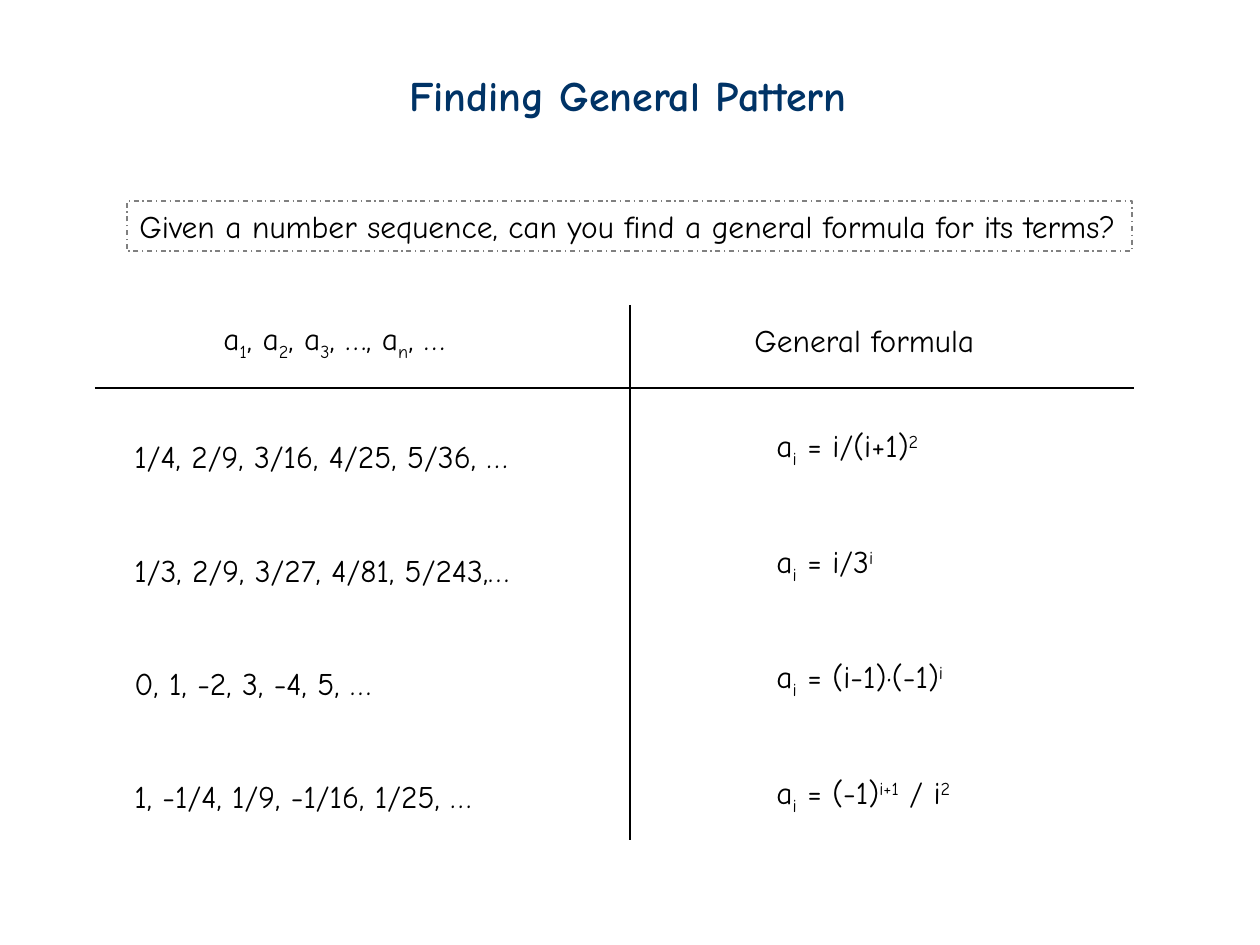
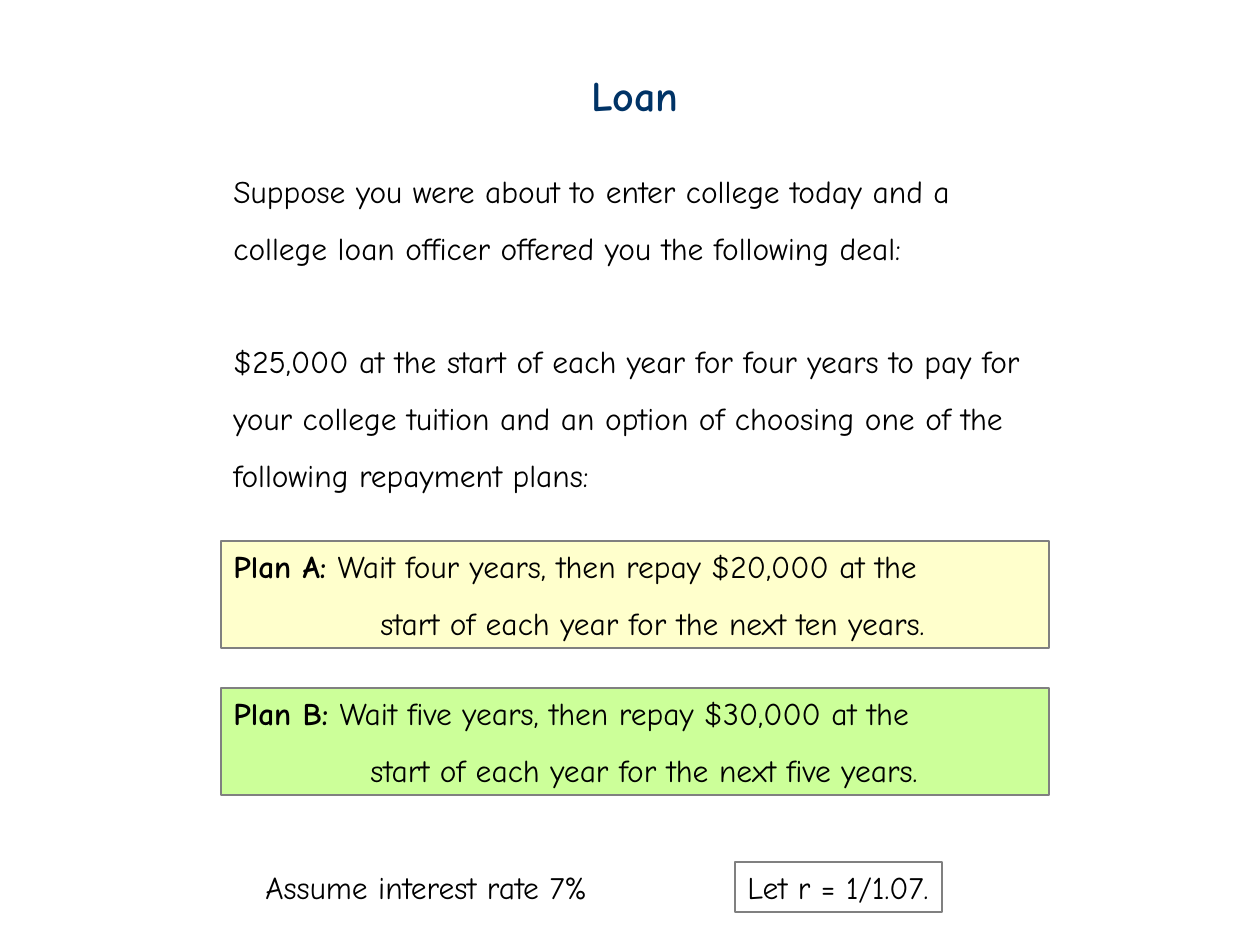
"""Build two slides: general patterns of sequences, and a loan problem."""
from dataclasses import dataclass
from typing import NamedTuple, Optional

from pptx import Presentation
from pptx.dml.color import RGBColor
from pptx.enum.dml import MSO_LINE
from pptx.enum.shapes import MSO_CONNECTOR, MSO_SHAPE
from pptx.enum.text import MSO_ANCHOR, MSO_AUTO_SIZE, PP_ALIGN
from pptx.oxml.ns import qn
from pptx.util import Emu, Pt

DASH_DOT = MSO_LINE.DASH_DOT
STRAIGHT = MSO_CONNECTOR.STRAIGHT
RECTANGLE = MSO_SHAPE.RECTANGLE
TOP = MSO_ANCHOR.TOP
GROW = MSO_AUTO_SIZE.SHAPE_TO_FIT_TEXT
LEFT = PP_ALIGN.LEFT
EMU_PER_PX = 914400 / 126
SUB, SUP = -25000, 30000


@dataclass(frozen=True)
class Theme:
    """Colours, type and line widths shared by the slides."""
    font: str = "Comic Neue"
    title: str = "003366"
    ink: str = "000000"
    border: str = "808080"
    plan_a: str = "FFFFCC"
    plan_b: str = "CCFF99"
    title_size: float = 24
    body_size: float = 18
    line_height: float = 21.6
    line_width: float = 0.7


class Run(NamedTuple):
    """A piece of text with its own weight or baseline."""
    text: str
    baseline: int = 0
    bold: bool = False


class Para(NamedTuple):
    """A paragraph with its spacing and left margin in pixels."""
    runs: list[Run]
    spacing: float = 1.0
    before: float = 0
    margin: int = 0


class Box(NamedTuple):
    """A place on the slide in pixels."""
    left: int
    top: int
    width: int
    height: int


class Frame(NamedTuple):
    """The outline and fill of a framed text."""
    fill: Optional[str] = None
    dashed: bool = False


class Plan(NamedTuple):
    """A repayment plan and its panel."""
    top: int
    fill: str
    name: str
    first: str
    second: str
    margin: int


THEME = Theme()


def px(n: float) -> Emu:
    """Turn pixels into EMU."""
    return Emu(round(n * EMU_PER_PX))


def rgb(value: str) -> RGBColor:
    """Turn a hex string into a colour."""
    return RGBColor.from_string(value)


def plain(text: str, spacing: float = 1.0, before: float = 0) -> Para:
    """Make a paragraph of one run."""
    return Para([Run(text)], spacing, before)


def add_text(s, box: Box, paras: list[Para], frame: Optional[Frame] = None,
             wrap: bool = False, size: float = THEME.body_size,
             color: str = THEME.ink) -> None:
    """Add text, in a rectangle when a frame is given."""
    place = [px(n) for n in box]
    if frame is None:
        sp = s.shapes.add_textbox(*place)
    else:
        sp = s.shapes.add_shape(RECTANGLE, *place)
        sp.shadow.inherit = False
        sp.line.color.rgb = rgb(THEME.border)
        sp.line.width = Pt(THEME.line_width)
        if frame.dashed:
            sp.line.dash_style = DASH_DOT
        if frame.fill:
            sp.fill.solid()
            sp.fill.fore_color.rgb = rgb(frame.fill)
        else:
            sp.fill.background()
    tf = sp.text_frame
    tf.word_wrap = wrap
    tf.auto_size = GROW
    tf.vertical_anchor = TOP
    for i, para in enumerate(paras):
        p = tf.add_paragraph() if i else tf.paragraphs[0]
        p.alignment = LEFT
        p.line_spacing = para.spacing
        p.space_before = Pt(para.before)
        p.font.name = THEME.font
        p.font.size = Pt(size)
        p.font.color.rgb = rgb(color)
        if para.margin:
            p._p.get_or_add_pPr().set("marL", str(px(para.margin)))
        for run in para.runs:
            r = p.add_run()
            r.text = run.text
            if run.bold:
                r.font.bold = True
            if run.baseline:
                r._r.get_or_add_rPr().set("baseline", str(run.baseline))


def add_title(s, text: str, left: int, width: int) -> None:
    """Add the slide title."""
    add_text(s, Box(left, 63, width, 63), [Para([Run(text, bold=True)])],
             size=THEME.title_size, color=THEME.title)


def add_rule(s, x1: int, y1: int, x2: int, y2: int) -> None:
    """Add a thin straight line."""
    c = s.shapes.add_connector(STRAIGHT, px(x1), px(y1), px(x2), px(y2))
    c.line.color.rgb = rgb(THEME.ink)
    c.line.width = Pt(THEME.line_width)
    sp_pr = c._element.spPr
    sp_pr.append(sp_pr.makeelement(qn("a:effectLst"), {}))


def build_pattern(s) -> None:
    """Draw the sequences beside their general formulas."""
    add_title(s, "Finding General Pattern", 397, 466)
    terms = [Run("a"), Run("1", SUB), Run(", a"), Run("2", SUB), Run(", a"),
             Run("3", SUB), Run(", …, a"), Run("n", SUB), Run(", …")]
    add_text(s, Box(211, 313, 248, 55), [Para(terms)])
    sequences = ["1/4, 2/9, 3/16, 4/25, 5/36, …",
                 "1/3, 2/9, 3/27, 4/81, 5/243,…",
                 "0, 1, -2, 3, -4, 5, …",
                 "1, -1/4, 1/9, -1/16, 1/25, …"]
    gap = 2 * THEME.line_height
    add_text(s, Box(122, 431, 402, 428),
             [plain(t, before=gap if i else 0) for i, t in enumerate(sequences)])
    add_text(s, Box(742, 315, 247, 50), [plain("General formula")])
    add_text(s, Box(127, 201, 1005, 50),
             [plain("Given a number sequence, can you find a general formula "
                    "for its terms?")], Frame(dashed=True))
    formulas = [
        (169, [Run(" = i/(i+1)"), Run("2", SUP)]),
        (125, [Run(" = i/3"), Run("i", SUP)]),
        (194, [Run(" = (i-1)·(-1)"), Run("i", SUP)]),
        (201, [Run(" = (-1)"), Run("i+1", SUP), Run(" / i"), Run("2", SUP)]),
    ]
    for i, (width, right_side) in enumerate(formulas):
        add_text(s, Box(764, 420 + (231 * i + 1) // 2, width, 55),
                 [Para([Run("a"), Run("i", SUB), *right_side])])
    add_rule(s, 630, 305, 630, 840)
    add_rule(s, 95, 388, 1134, 388)


def build_loan(s) -> None:
    """Draw the loan offer and its two repayment plans."""
    add_title(s, "Loan", 579, 115)
    add_text(s, Box(221, 147, 829, 353), [
        plain("Suppose you were about to enter college today and a college "
              "loan officer offered you the following deal:", 1.5),
        plain("$25,000 at the start of each year for four years to pay for "
              "your college tuition and an option of choosing one of the "
              "following repayment plans:", 1.5, 1.5 * THEME.line_height),
    ], wrap=True)
    plans = [
        Plan(541, THEME.plan_a, "Plan A: ",
             "Wait four years, then repay $20,000 at the",
             "start of each year for the next ten years.", 147),
        Plan(688, THEME.plan_b, "Plan B: ",
             "Wait five years, then repay $30,000 at the",
             "start of each year for the next five years.", 137),
    ]
    for plan in plans:
        add_text(s, Box(221, plan.top, 828, 107), [
            Para([Run(plan.name, bold=True), Run(plan.first)]),
            Para([Run(plan.second)], spacing=1.5, margin=plan.margin),
        ], Frame(plan.fill), wrap=True)
    add_text(s, Box(253, 862, 352, 50), [plain("Assume interest rate 7%")])
    add_text(s, Box(735, 862, 207, 50), [plain("Let r = 1/1.07.")], Frame())


def main() -> None:
    """Build and save the presentation."""
    prs = Presentation()
    prs.slide_width, prs.slide_height = px(1260), px(945)
    for build in (build_pattern, build_loan):
        build(prs.slides.add_slide(prs.slide_layouts[6]))
    prs.save("out.pptx")


main()
